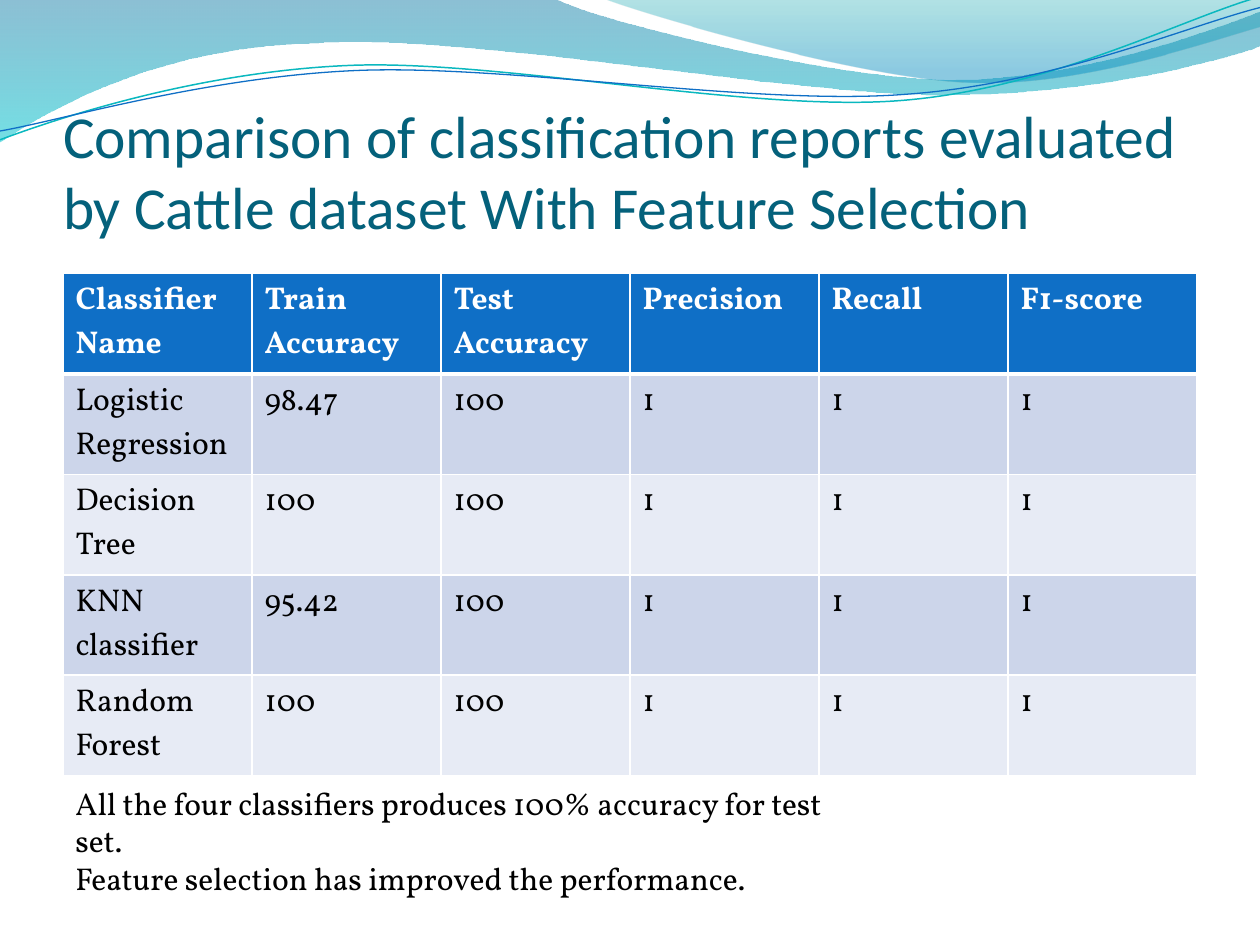
from dataclasses import dataclass

from lxml import etree
from pptx import Presentation
from pptx.dml.color import RGBColor
from pptx.enum.text import MSO_ANCHOR, MSO_AUTO_SIZE, PP_ALIGN
from pptx.oxml.ns import qn
from pptx.util import Inches, Pt

BOTTOM = MSO_ANCHOR.BOTTOM
NO_AUTOFIT = MSO_AUTO_SIZE.NONE
GROW_SHAPE = MSO_AUTO_SIZE.SHAPE_TO_FIT_TEXT
LEFT = PP_ALIGN.LEFT


@dataclass(frozen=True)
class Theme:
    title_font: str = "Calibri"
    body_font: str = "Vollkorn"
    title_size: int = 34
    body_size: int = 18
    title: str = "04617B"
    text: str = "000000"
    white: str = "FFFFFF"
    header: str = "0F6FC6"
    bands: tuple = ("CCD5EA", "E7EBF5")
    teal_line: str = "0AB8BF"
    blue_line: str = "0F6FC6"
    # Gradient stops: position, colour, opacity in percent
    wide_wave: tuple = ((0, "0074A1", 45), (1, "00C6CF", 55))
    right_wave: tuple = ((0, "00A1A9", 30), (0.8, "008BBF", 45))


def rgb(value):
    return RGBColor.from_string(value)


class SlideBuilder:
    def __init__(self, slide, theme):
        self.slide = slide
        self.theme = theme

    def add_run(self, paragraph, text, size, font, color, bold=False):
        run = paragraph.add_run()
        run.text = text
        run.font.size = Pt(size)
        run.font.name = font
        run.font.bold = bold
        run.font.color.rgb = rgb(color)

    def outline(self, start, segments, close):
        """Draw segments of one point (line) or three points (cubic curve)."""
        points = [(Inches(segment[i]), Inches(segment[i + 1]))
                  for segment in segments for i in range(0, len(segment), 2)]
        builder = self.slide.shapes.build_freeform(Inches(start[0]), Inches(start[1]))
        builder.add_line_segments(points, close=close)
        shape = builder.convert_to_shape()
        shape.shadow.inherit = False
        # Merge each run of three line points into one cubic curve
        lines = iter(list(shape._element.spPr.iter(qn("a:lnTo"))))
        for segment in segments:
            line = next(lines)
            if len(segment) == 6:
                line.addprevious(curve := etree.Element(qn("a:cubicBezTo")))
                for part in (line, next(lines), next(lines)):
                    curve.append(part[0])
                    part.getparent().remove(part)
        return shape

    def wave(self, start, segments, stops):
        shape = self.outline(start, segments, True)
        shape.line.fill.background()
        shape.fill.gradient()
        shape.fill.gradient_angle = 270
        for stop, (position, color, _) in zip(shape.fill.gradient_stops, stops):
            stop.position = position
            stop.color.rgb = rgb(color)
        colors = list(shape._element.spPr.iter(qn("a:srgbClr")))
        for element, (_, _, opacity) in zip(colors, stops):
            etree.SubElement(element, qn("a:alpha"), val=str(opacity * 1000))

    def curve(self, start, segments, color, width):
        shape = self.outline(start, segments, False)
        shape.fill.background()
        shape.line.color.rgb = rgb(color)
        shape.line.width = Pt(width)

    def title(self, text, left, top, width, height):
        shape = self.slide.shapes.title
        shape.left, shape.top = Inches(left), Inches(top)
        shape.width, shape.height = Inches(width), Inches(height)
        frame = shape.text_frame
        frame.word_wrap = True
        frame.auto_size = NO_AUTOFIT
        frame.vertical_anchor = BOTTOM
        frame.margin_left = frame.margin_right = frame.margin_bottom = 0
        frame.margin_top = Inches(0.05)
        paragraph = frame.paragraphs[0]
        paragraph.alignment = LEFT
        self.add_run(paragraph, text, self.theme.title_size,
                     self.theme.title_font, self.theme.title)
        # Keep the title in front of the waves
        self.slide.shapes._spTree.append(shape._element)

    def cell_borders(self, cell, widths):
        properties = cell._tc.get_or_add_tcPr()
        for side, width in widths.items():
            line = etree.SubElement(properties, qn(f"a:ln{side}"), w=str(Pt(width)))
            fill = etree.SubElement(line, qn("a:solidFill"))
            etree.SubElement(fill, qn("a:srgbClr"), val=self.theme.white)

    def table(self, rows, left, top, width, height, row_height):
        theme = self.theme
        frame = self.slide.shapes.add_table(
            len(rows), len(rows[0]), Inches(left), Inches(top),
            Inches(width), Inches(height))
        table = frame.table
        for row_index, values in enumerate(rows):
            # Rows grow from this minimum to fit their text
            table.rows[row_index].height = Inches(row_height)
            is_header = row_index == 0
            fill = theme.header if is_header else theme.bands[(row_index - 1) % 2]
            widths = {"L": 1, "R": 1, "T": 3 if row_index == 1 else 1,
                      "B": 3 if is_header else 1}
            for column_index, value in enumerate(values):
                cell = table.cell(row_index, column_index)
                self.cell_borders(cell, widths)
                cell.fill.solid()
                cell.fill.fore_color.rgb = rgb(fill)
                self.add_run(cell.text_frame.paragraphs[0], value, theme.body_size,
                             theme.body_font, theme.white if is_header else theme.text,
                             is_header)
        frame.height = Inches(height)

    def text(self, lines, left, top, width, height):
        frame = self.slide.shapes.add_textbox(
            Inches(left), Inches(top), Inches(width), Inches(height)).text_frame
        frame.word_wrap = True
        frame.auto_size = GROW_SHAPE
        for index, line in enumerate(lines):
            paragraph = frame.add_paragraph() if index else frame.paragraphs[0]
            self.add_run(paragraph, line, self.theme.body_size,
                         self.theme.body_font, self.theme.text)


def main():
    presentation = Presentation()
    presentation.slide_width, presentation.slide_height = Inches(10), Inches(7.5)
    theme = Theme()
    slide = presentation.slides.add_slide(presentation.slide_layouts[5])
    builder = SlideBuilder(slide, theme)

    # Waves across the top
    builder.wave((0, 0), [
        (4.4, -0.01), (4.76, 0.17, 6.64, 0.63, 7.58, 0.63),
        (8.53, 0.63, 9.58, 0.26, 10, 0.09), (10.01, 0.36),
        (9.83, 0.44, 8.7, 0.76, 7.46, 0.75), (6.22, 0.75, 3.82, 0.28, 2.57, 0.34),
        (1.29, 0.36, 0.46, 0.83, -0.01, 1.13), (0, 0)], theme.wide_wave)
    builder.wave((4.79, -0.01), [
        (5.09, 0.11, 6.82, 0.62, 7.69, 0.65), (8.56, 0.69, 9.61, 0.32, 10, 0.21),
        (10, 0), (4.79, -0.01)], theme.right_wave)
    builder.curve((0, 1.11), [
        (0.48, 0.93, 1.58, 0.57, 2.77, 0.52), (3.95, 0.47, 5.93, 0.89, 7.13, 0.8),
        (8.33, 0.71, 9.38, 0.15, 9.98, -0.02)], theme.teal_line, 0.85)
    builder.curve((0, 1.04), [
        (0.47, 0.96, 1.64, 0.61, 2.83, 0.56), (4.03, 0.51, 5.97, 0.84, 7.17, 0.75),
        (8.36, 0.67, 9.41, 0.21, 10, 0.06)], theme.blue_line, 0.75)

    # Title
    builder.title("Comparison of classification reports evaluated by Cattle dataset "
                  "With Feature Selection", 0.5, 0.67, 9, 1.25)

    # Classifier scores
    builder.table([
        ("Classifier Name", "Train Accuracy", "Test Accuracy",
         "Precision", "Recall", "F1-score"),
        ("Logistic Regression", "98.47", "100", "1", "1", "1"),
        ("Decision Tree", "100", "100", "1", "1", "1"),
        ("KNN classifier", "95.42", "100", "1", "1", "1"),
        ("Random Forest", "100", "100", "1", "1", "1"),
    ], 0.5, 2.17, 9, 3.5, 0.41)

    # Conclusions
    builder.text(["All the four classifiers produces 100% accuracy for test set.",
                  "Feature selection has improved the performance."],
                 0.5, 6.17, 6.4, 0.71)

    presentation.save("out.pptx")


if __name__ == "__main__":
    main()
